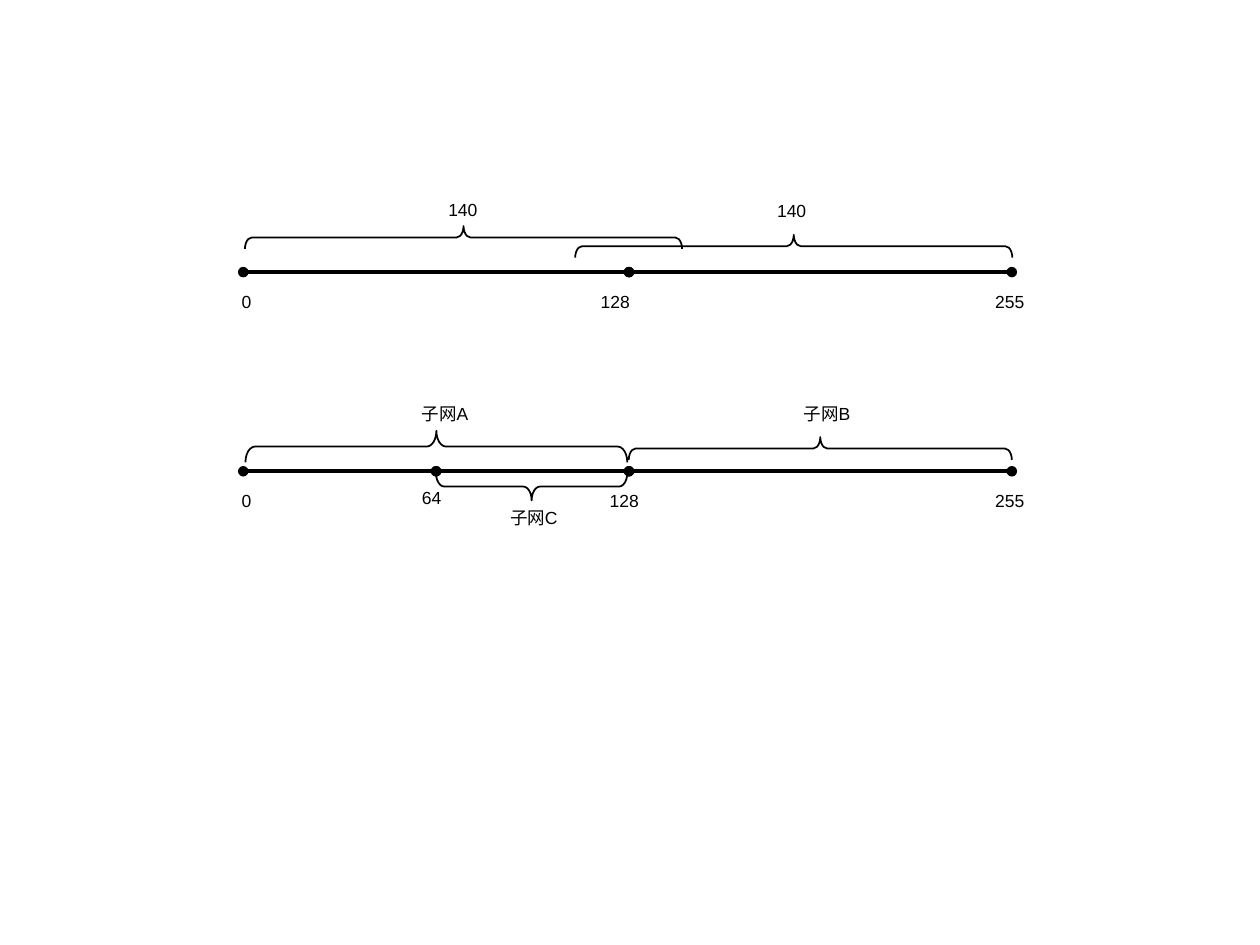
"""Draw two address ranges with braces that mark how each one is split."""
from lxml.etree import SubElement as Sub
from pptx import Presentation
from pptx.dml.color import RGBColor as Rgb
from pptx.enum.shapes import MSO_CONNECTOR as Conn, MSO_SHAPE as Shape
from pptx.enum.text import MSO_AUTO_SIZE as Auto
from pptx.oxml.ns import qn
from pptx.util import Pt

THEME = {"ink": Rgb(0, 0, 0), "font": "Arial", "size": 10, "axis": 2, "brace": 1}
SIZE = (720, 540)
START, END, LAST = 139, 578.2, 255
CURL, TALL = 0.303, 19.4

AXES = [
    (155.5, [0, 128, 255]),
    (269.3, [0, 64, 128, 255]),
]
# fields: left, top, width, depth, points up
BRACES = [
    (140, 129.2, 249.8, 13, True),
    (328.7, 134.2, 249.8, 13, True),
    (140.3, 246.2, 218.2, 18, True),
    (359.3, 249.8, 218.9, 13, True),
    (249.1, 270.1, 109.4, 15.8, False),
]
# fields: text, left, top, width
LABELS = [
    ("140", 249.1, 110.1, 50.4),
    ("140", 437, 110.5, 33.1),
    ("0", 131, 162.8, 18),
    ("128", 336.2, 162.8, 50.4),
    ("255", 561.6, 162.8, 33.8),
    ("子网A", 234, 226.8, 50.4),
    ("子网B", 452.2, 226.8, 50.4),
    ("0", 131, 276.5, 18),
    ("64", 234, 275, 35.3),
    ("128", 341.3, 276.5, 35.3),
    ("255", 561.6, 276.5, 33.8),
    ("子网C", 284.4, 286, 50.4),
]


def place(val):
    return START + (END - START) * val / LAST


def ink(line, width):
    line.color.rgb = THEME["ink"]
    line.width = Pt(width)


def add_axis(shapes, y, marks):
    for a, b in zip(marks, marks[1:]):
        seg = shapes.add_connector(
            Conn.STRAIGHT, Pt(place(a)), Pt(y), Pt(place(b)), Pt(y))
        ink(seg.line, THEME["axis"])
        props = seg._element.spPr
        for end in ("a:headEnd", "a:tailEnd"):
            Sub(props.find(qn("a:ln")), qn(end), type="oval")
        Sub(props, qn("a:effectLst"))


def add_brace(shapes, left, top, width, depth, up):
    x = left + (width - depth) / 2
    y = top + (depth - width) / 2
    brace = shapes.add_shape(
        Shape.LEFT_BRACE, Pt(x), Pt(y), Pt(depth), Pt(width))
    brace.rotation = 270
    brace.adjustments[0] = CURL
    brace.adjustments[1] = 0.5
    brace.shadow.inherit = False
    brace.fill.background()
    ink(brace.line, THEME["brace"])
    if up:
        brace._element.spPr.find(qn("a:xfrm")).set("flipH", "1")


def add_label(shapes, text, left, top, width):
    frame = shapes.add_textbox(Pt(left), Pt(top), Pt(width), Pt(TALL)).text_frame
    frame.word_wrap = True
    frame.auto_size = Auto.SHAPE_TO_FIT_TEXT
    run = frame.paragraphs[0].add_run()
    run.text = text
    run.font.name = THEME["font"]
    run.font.size = Pt(THEME["size"])
    run.font.color.rgb = THEME["ink"]


def main():
    deck = Presentation()
    deck.slide_width, deck.slide_height = map(Pt, SIZE)
    shapes = deck.slides.add_slide(deck.slide_layouts[6]).shapes
    for add, rows in ((add_axis, AXES), (add_brace, BRACES), (add_label, LABELS)):
        for row in rows:
            add(shapes, *row)
    deck.save("out.pptx")


if __name__ == "__main__":
    main()
